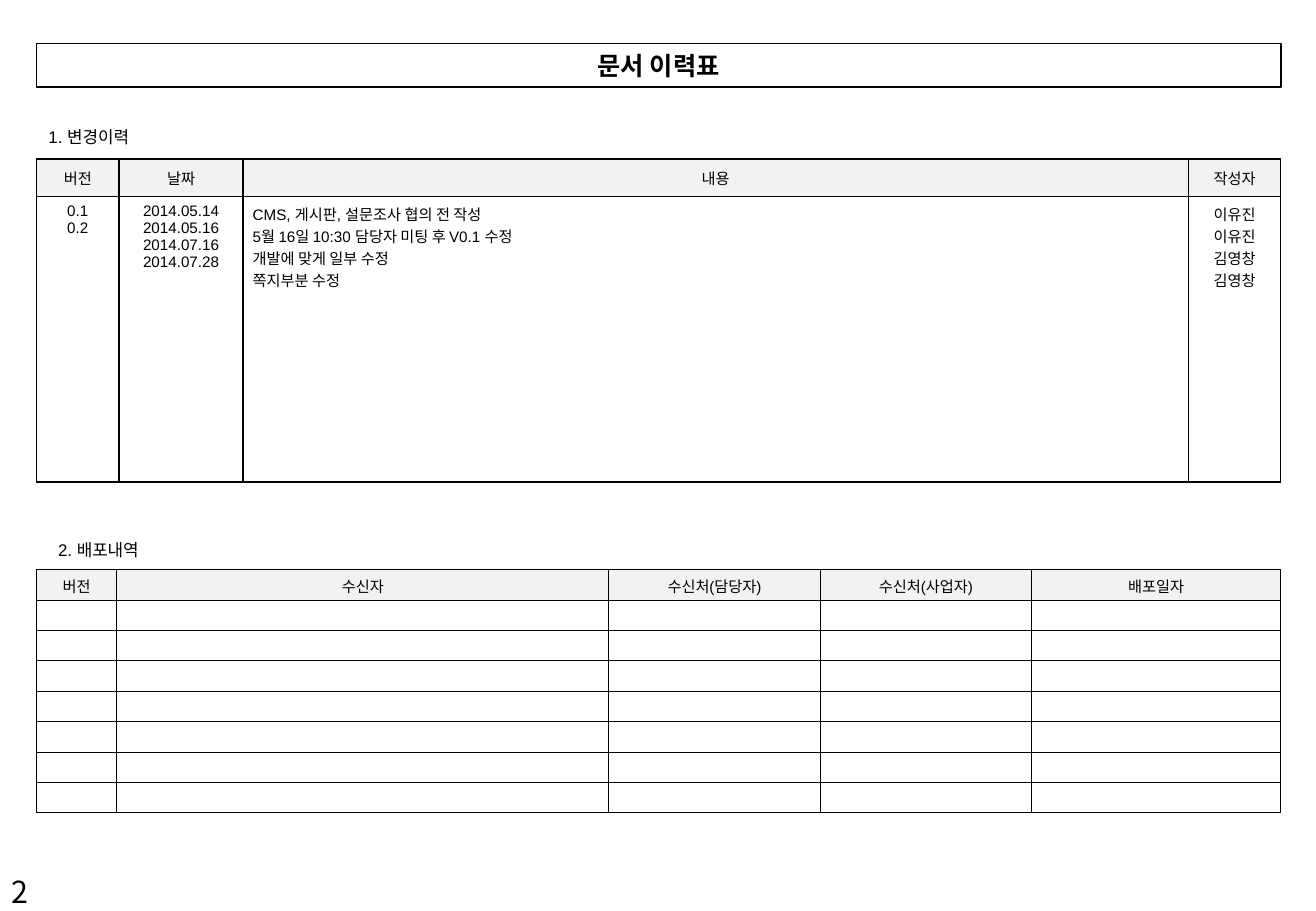
from lxml import etree
from pptx import Presentation
from pptx.dml.color import RGBColor
from pptx.enum import shapes, text
from pptx.oxml import ns
from pptx.util import Inches, Pt

BLACK = RGBColor(0x00, 0x00, 0x00)
HEADER_GRAY = RGBColor(0xF2, 0xF2, 0xF2)
LATIN_FONT = "Arial"
KOREAN_FONT = "Noto Sans CJK KR"
CENTER, LEFT = text.PP_ALIGN.CENTER, text.PP_ALIGN.LEFT
TOP, MIDDLE = text.MSO_ANCHOR.TOP, text.MSO_ANCHOR.MIDDLE

HISTORY_HEADERS = ["버전", "날짜", "내용", "작성자"]
HISTORY_ENTRIES = [
    ["0.1", "0.2"],
    ["2014.05.14", "2014.05.16", "2014.07.16", "2014.07.28"],
    ["CMS, 게시판, 설문조사 협의 전 작성", "5월 16일 10:30 담당자 미팅 후 V0.1 수정",
     "개발에 맞게 일부 수정", "쪽지부분 수정"],
    ["이유진", "이유진", "김영창", "김영창"],
]
DELIVERY_HEADERS = ["버전", "수신자", "수신처(담당자)", "수신처(사업자)", "배포일자"]
DELIVERY_ROWS = 7


def write_lines(frame, lines, size, align=LEFT, bold=False, font=LATIN_FONT):
    """Write one paragraph per line into a text frame."""
    for index, line in enumerate(lines):
        para = frame.add_paragraph() if index else frame.paragraphs[0]
        para.alignment = align
        span = para.add_run()
        span.text = line
        span.font.size, span.font.bold, span.font.name = Pt(size), bold, font
        span.font.color.rgb = BLACK


def set_margins(target, left, top, right, bottom):
    """Set the inner margins of a cell or text frame in inches."""
    target.margin_left, target.margin_top = Inches(left), Inches(top)
    target.margin_right, target.margin_bottom = Inches(right), Inches(bottom)


def add_label(page, left, top, width, height, label, size,
              anchor=TOP, top_margin=0.05, font=LATIN_FONT):
    """Place a one-line text box and return its paragraph."""
    frame = page.shapes.add_textbox(
        Inches(left), Inches(top), Inches(width), Inches(height)).text_frame
    frame.word_wrap = True
    frame.vertical_anchor = anchor
    set_margins(frame, 0.1, top_margin, 0.1, 0.05)
    write_lines(frame, [label], size, font=font)
    return frame.paragraphs[0]


def add_title(page, left, top, width, height):
    """Place the framed document title."""
    box = page.shapes.add_shape(
        shapes.MSO_SHAPE.RECTANGLE, Inches(left), Inches(top), Inches(width), Inches(height))
    box.shadow.inherit = False
    box.fill.background()
    box.line.color.rgb, box.line.width = BLACK, Pt(1)
    box.text_frame.vertical_anchor = MIDDLE
    write_lines(box.text_frame, ["문서 이력표"], 15, CENTER, bold=True)


def set_borders(cell, widths):
    """Draw the left, right, top and bottom cell borders."""
    properties = cell._tc.get_or_add_tcPr()
    for side, width in zip("LRTB", widths):
        line = etree.SubElement(properties, ns.qn(f"a:ln{side}"), w=str(Pt(width)))
        fill = etree.SubElement(line, ns.qn("a:solidFill"))
        etree.SubElement(fill, ns.qn("a:srgbClr"), val=str(BLACK))


def add_grid(page, left, top, columns, rows, outer, inner):
    """Place an empty bordered table with a gray header row."""
    table = page.shapes.add_table(
        len(rows), len(columns), Inches(left), Inches(top),
        Inches(sum(columns)), Inches(sum(rows))).table
    table.first_row = table.horz_banding = False
    for column, width in zip(table.columns, columns):
        column.width = Inches(width)
    for row, height in zip(table.rows, rows):
        row.height = Inches(height)
    for r in range(len(rows)):
        for c in range(len(columns)):
            cell = table.cell(r, c)
            at_edges = (c == 0, c == len(columns) - 1, r == 0, r == len(rows) - 1)
            set_borders(cell, [outer if edge else inner for edge in at_edges])
            if r == 0:
                cell.fill.solid()
                cell.fill.fore_color.rgb = HEADER_GRAY
            else:
                cell.fill.background()
    return table


def add_history(page, left, top):
    """Place the change history heading and table."""
    heading = add_label(page, left, top, 1.65, 0.55, "1. 변경이력", 10)
    heading.line_spacing = 1.5
    table = add_grid(page, left, top + 0.4, [0.68, 1.02, 7.78, 0.76], [0.31, 2.35], 1, 1)
    for c, (header, entries) in enumerate(zip(HISTORY_HEADERS, HISTORY_ENTRIES)):
        is_content = header == "내용"
        title_cell, entry_cell = table.cell(0, c), table.cell(1, c)
        set_margins(title_cell, 0, 0.05, 0, 0.05)
        set_margins(entry_cell, 0.08 if is_content else 0, 0.05, 0, 0.05)
        title_cell.vertical_anchor = MIDDLE
        write_lines(title_cell.text_frame, [header], 9, CENTER)
        write_lines(entry_cell.text_frame, entries, 9, LEFT if is_content else CENTER)


def add_delivery(page, left, top):
    """Place the delivery heading and its blank table."""
    add_label(page, left + 0.08, top, 1.2, 0.19, "2. 배포내역", 10, MIDDLE)
    table = add_grid(page, left, top + 0.26, [0.66, 4.05, 1.74, 1.74, 2.05],
                     [0.25] * (DELIVERY_ROWS + 1), 0.75, 0.5)
    for cell in table.iter_cells():
        set_margins(cell, 0.1, 0.03, 0.1, 0.02)
        cell.vertical_anchor = MIDDLE
        etree.SubElement(cell.text_frame.paragraphs[0]._p, ns.qn("a:endParaRPr"), sz="900")
    for c, header in enumerate(DELIVERY_HEADERS):
        write_lines(table.cell(0, c).text_frame, [header], 9, CENTER)


def main():
    """Build the document history slide."""
    deck = Presentation()
    deck.slide_width, deck.slide_height = Inches(10.83), Inches(7.5)
    page = deck.slides.add_slide(deck.slide_layouts[6])
    add_title(page, 0.3, 0.36, 10.24, 0.36)
    add_history(page, 0.3, 0.91)
    add_delivery(page, 0.3, 4.43)
    add_label(page, 0, 7.19, 2.53, 0.26, "2", 18, top_margin=0, font=KOREAN_FONT)
    deck.save("out.pptx")


if __name__ == "__main__":
    main()
